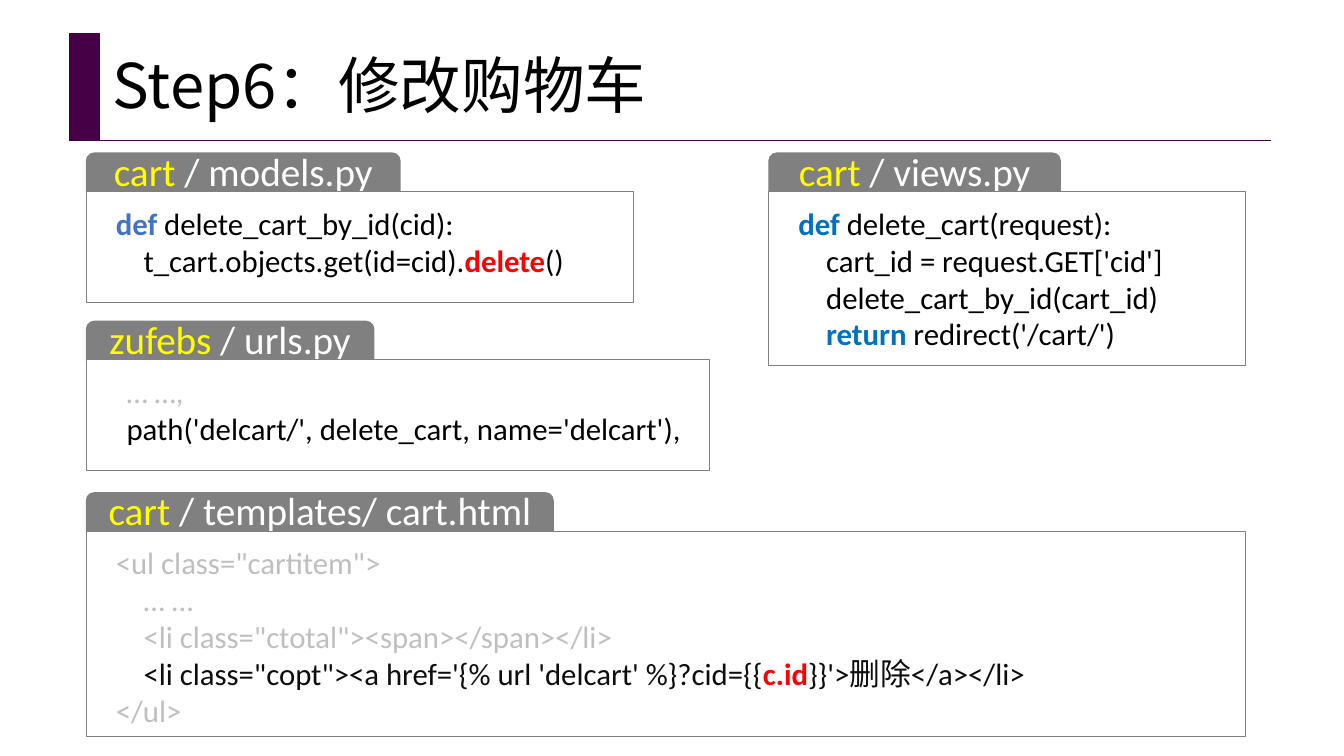
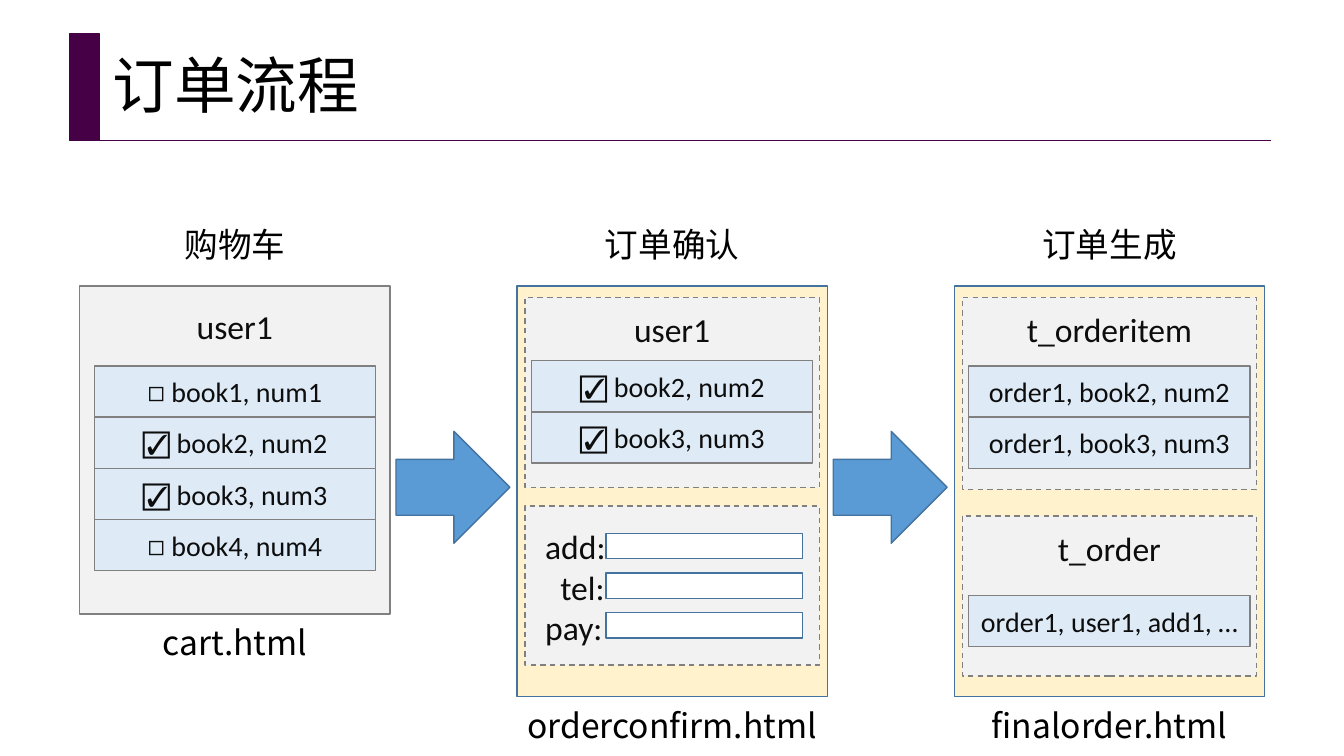
import pptx
import pptx.dml.color
import pptx.enum.dml
import pptx.enum.shapes
import pptx.enum.text
import pptx.oxml
import pptx.oxml.ns
import pptx.util

Cm = pptx.util.Cm
Pt = pptx.util.Pt
Color = pptx.dml.color.RGBColor.from_string
Shape = pptx.enum.shapes.MSO_SHAPE
Anchor = pptx.enum.text.MSO_ANCHOR
Align = pptx.enum.text.PP_ALIGN
qn = pptx.oxml.ns.qn


class Theme:
    plum = "460046"
    gray = "808080"
    blue_edge = "43739E"
    east_asian = "Noto Sans CJK SC"
    tones = {
        "black": ("000000", False),
        "ink": ("0D0D0D", False),
        "faded": ("BFBFBF", False),
        "white": ("FFFFFF", False),
        "yellow": ("FFFF00", False),
        "indigo": ("4472C4", True),
        "keyword": ("0070C0", True),
        "alert": ("FF0000", True),
    }
    texts = {
        "title": {"size": Pt(44), "name": "Noto Sans CJK SC"},
        "heading": {"size": Pt(24), "name": "Noto Sans CJK SC"},
        "tab": {"size": Pt(28), "name": "Calibri"},
        "code": {"size": Pt(22), "name": "Calibri"},
        "label": {"size": Pt(24), "name": "Calibri"},
        "row": {"size": Pt(20), "name": "Calibri"},
    }
    boxes = {
        "band": (Shape.RECTANGLE, plum, plum, 1),
        "tab": (Shape.ROUNDED_RECTANGLE, gray, gray, 1),
        "code": (Shape.RECTANGLE, "FFFFFF", gray, 0.75),
        "cart": (Shape.RECTANGLE, "F2F2F2", gray, 1),
        "stage": (Shape.RECTANGLE, "FFF2CC", blue_edge, 1),
        "frame": (Shape.RECTANGLE, "F2F2F2", gray, 1),
        "row": (Shape.RECTANGLE, "DEEBF7", gray, 1),
        "field": (Shape.RECTANGLE, "FFFFFF", blue_edge, 1),
        "arrow": (Shape.RIGHT_ARROW, "5B9BD5", blue_edge, 1),
    }


def add_box(page, style, left, top, width, height):
    kind, fill, edge, weight = Theme.boxes[style]
    box = page.shapes.add_shape(kind, Cm(left), Cm(top), Cm(width), Cm(height))
    box.shadow.inherit = False
    box.fill.solid()
    box.fill.fore_color.rgb = Color(fill)
    box.line.color.rgb = Color(edge)
    box.line.width = Pt(weight)
    if style == "frame":
        box.line.dash_style = pptx.enum.dml.MSO_LINE.DASH
    return box


def write(box, style, lines, align=Align.CENTER, anchor=Anchor.MIDDLE, insets=(0.25, 0.13, 0.25, 0.13)):
    frame = box.text_frame
    sides = ("margin_left", "margin_top", "margin_right", "margin_bottom")
    formats = {"word_wrap": True, "vertical_anchor": anchor}
    formats.update(zip(sides, map(Cm, insets)))
    for name, value in formats.items():
        setattr(frame, name, value)
    for number, (indent, spans) in enumerate(lines):
        para = frame.add_paragraph() if number else frame.paragraphs[0]
        para.alignment = align
        if indent:
            para._p.get_or_add_pPr().set("marL", str(Cm(indent)))
        for text, tone in spans:
            span = para.add_run()
            span.text = text
            color, bold = Theme.tones[tone]
            for name, value in {**Theme.texts[style], "bold": bold}.items():
                setattr(span.font, name, value)
            span.font.color.rgb = Color(color)
            east = pptx.oxml.parse_xml(
                '<a:ea xmlns:a="http://schemas.openxmlformats.org/drawingml/2006/main"/>')
            east.set("typeface", Theme.east_asian)
            span.font._element.append(east)


deck = pptx.Presentation()
deck.slide_width, deck.slide_height = Cm(33.87), Cm(19.05)

layout = deck.slide_layouts[5]
for holder in list(layout.placeholders):
    if holder.placeholder_format.idx:
        holder.element.getparent().remove(holder.element)
for name, value in {"left": 2.59, "top": 0.97, "width": 29.21, "height": 2.51}.items():
    setattr(layout.placeholders[0], name, Cm(value))

pages = []
for title in ("Step6：修改购物车", "订单流程"):
    page = deck.slides.add_slide(layout)
    write(page.shapes.title, "title", [(0, [(title, "black")])], align=Align.LEFT)
    page.shapes.title.text_frame.paragraphs[0].line_spacing = 0.9
    pages.append(page)
code_page, flow_page = pages

band = add_box(code_page, "band", 1.75, 0.86, 0.76, 2.69)
rule = code_page.shapes.add_connector(
    pptx.enum.shapes.MSO_CONNECTOR.STRAIGHT, Cm(2.13), Cm(3.53), Cm(32.03), Cm(3.53))
rule.line.color.rgb = Color(Theme.plum)
rule.line.width = Pt(0.5)
rule.element.spPr.append(rule.element.spPr.makeelement(qn("a:effectLst"), {}))
for position, item in enumerate((band, rule), start=2):
    layout.shapes.element.insert(position, item.element)

STEP = 0.7
panels = [
    (2.18, 3.86, 7.9, 13.79, 2.79, "cart", " / models.py", [
        (0, [("def ", "indigo"), ("delete_cart_by_id(cid):", "black")]),
        (STEP, [("t_cart.objects.get(id=cid).", "black"), ("delete", "alert"), ("()", "black")]),
    ]),
    (19.38, 3.86, 7.34, 12.01, 4.39, "cart", " / views.py", [
        (0, [("def ", "keyword"), ("delete_cart(request):", "black")]),
        (STEP, [("cart_id = request.GET['cid']", "black")]),
        (STEP, [("delete_cart_by_id(cart_id)", "black")]),
        (STEP, [("return", "keyword"), (" redirect('/cart/')", "black")]),
    ]),
    (2.18, 8.1, 7.24, 15.7, 2.79, "zufebs", " / urls.py", [
        (0.27, [("… …,", "faded")]),
        (0.27, [("path('delcart/', delete_cart, name='delcart'),", "black")]),
    ]),
    (2.18, 12.42, 11.76, 29.21, 5.16, "cart", " / templates/ cart.html", [
        (0, [('<ul class="cartitem">', "faded")]),
        (STEP, [("… …", "faded")]),
        (STEP, [('<li class="ctotal"><span></span></li>', "faded")]),
        (STEP, [("<li class=\"copt\"><a href='{% url 'delcart' %}?cid={{", "ink"),
                ("c.id", "alert"), ("}}'>删除</a></li>", "ink")]),
        (0, [("</ul>", "faded")]),
    ]),
]
for left, top, tab_width, width, height, app, file_name, code in panels:
    tab = add_box(code_page, "tab", left, top, tab_width, 1.17)
    write(tab, "tab", [(0, [(app, "yellow"), (file_name, "white")])], insets=(0.25, 0, 0.25, 0.3))
    body = add_box(code_page, "code", left, top + 0.97, width, height)
    write(body, "code", code, Align.LEFT, Anchor.TOP, (0.74, 0.32, 0.25, 0))

COLUMN_LEFT, COLUMN_TOP, COLUMN_WIDTH, COLUMN_PITCH = 2.01, 7.21, 7.82, 11.02
FRAME_WIDTH, ROW_WIDTH, ROW_HEIGHT = 7.42, 7.09, 1.29
stages = [
    ("购物车", "cart.html", "cart", 8.26, [], [
        (9.22, ["◻ book1, num1", "☑ book2, num2", "☑ book3, num3", "◻ book4, num4"]),
    ]),
    ("订单确认", "orderconfirm.html", "stage", 10.34, [(7.49, 4.8, "user1"), (12.75, 4.01, "")], [
        (9.09, ["☑ book2, num2", "☑ book3, num3"]),
    ]),
    ("订单生成", "finalorder.html", "stage", 10.34, [(7.49, 4.85, "t_orderitem"), (13, 4.04, "t_order")], [
        (9.22, ["order1, book2, num2", "order1, book3, num3"]),
        (15.01, ["order1, user1, add1, …"]),
    ]),
]
form_lines = [(0, [("add:", "ink")]), (0.38, [("tel:", "ink")]), (0, [("pay:", "ink")])]

for column, (heading, caption, style, height, frames, groups) in enumerate(stages):
    left = COLUMN_LEFT + column * COLUMN_PITCH
    stage = add_box(flow_page, style, left, COLUMN_TOP, COLUMN_WIDTH, height)
    if style == "cart":
        write(stage, "label", [(0, [("user1", "ink")])], anchor=Anchor.TOP, insets=(0.25, 0.51, 0.25, 0.13))
    for text, top in ((heading, 5.51), (caption, COLUMN_TOP + height + 0.08)):
        label = flow_page.shapes.add_textbox(Cm(left), Cm(top), Cm(COLUMN_WIDTH), Cm(1.27))
        write(label, "heading", [(0, [(text, "black")])], anchor=Anchor.TOP, insets=(0, 0.13, 0, 0.13))
    for top, frame_height, name in frames:
        frame_left = left + (COLUMN_WIDTH - FRAME_WIDTH) / 2
        box = add_box(flow_page, "frame", frame_left, top, FRAME_WIDTH, frame_height)
        if name:
            write(box, "label", [(0, [(name, "ink")])], anchor=Anchor.TOP, insets=(0.25, 0.3, 0.25, 0.13))
        else:
            write(box, "label", form_lines, Align.LEFT, Anchor.TOP, (0.51, 0.51, 0.25, 0.13))
            for number in range(len(form_lines)):
                add_box(flow_page, "field", 15.27, 13.44 + number, 4.95, 0.64)
    for top, rows in groups:
        for number, text in enumerate(rows):
            row_left = left + (COLUMN_WIDTH - ROW_WIDTH) / 2
            row = add_box(flow_page, "row", row_left, top + number * ROW_HEIGHT, ROW_WIDTH, ROW_HEIGHT)
            write(row, "row", [(0, [(text, "ink")])])
    if column:
        add_box(flow_page, "arrow", left - 3.05, 10.87, 2.87, 2.82)

deck.save("out.pptx")
